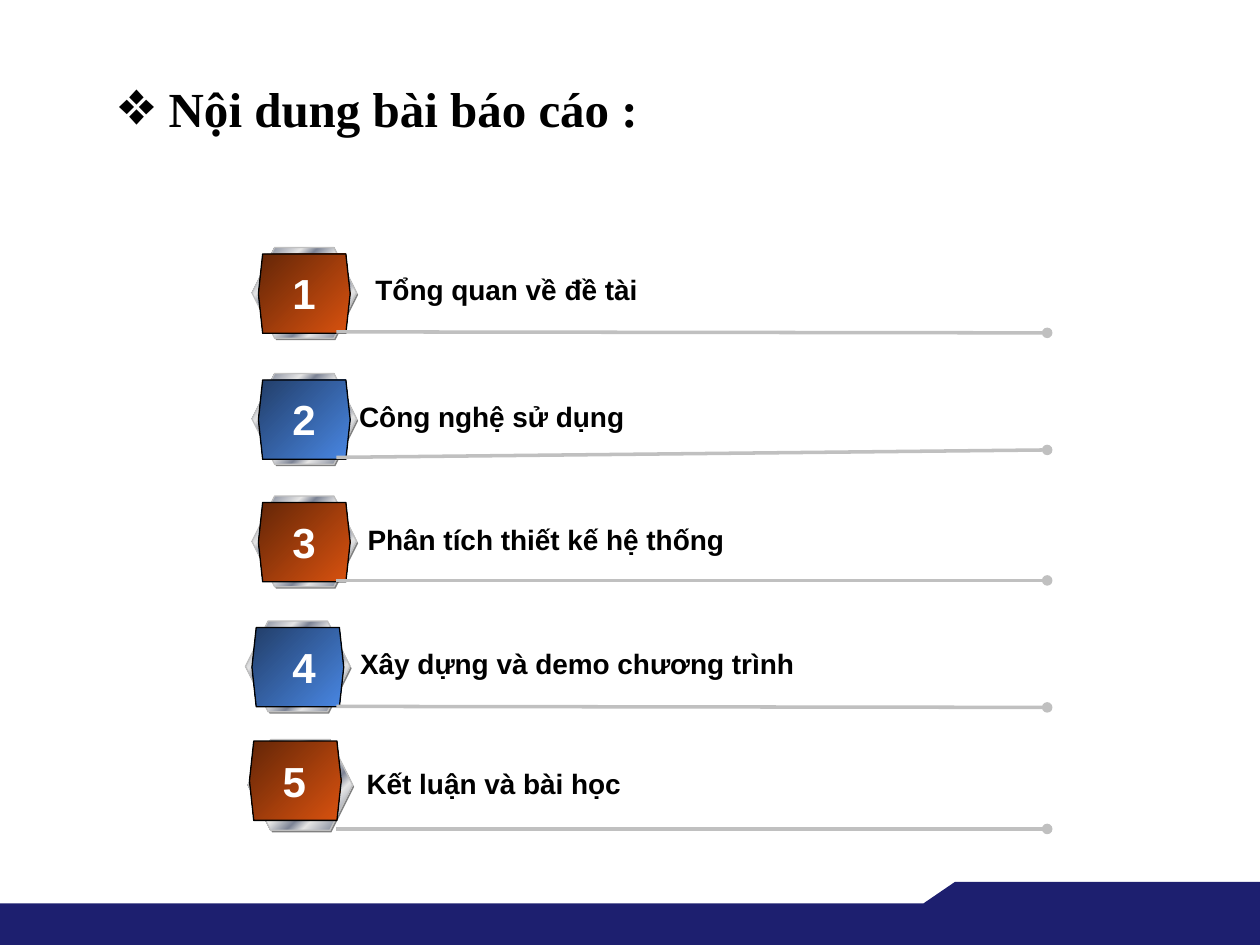
import pptx
import pptx.dml.color
import pptx.enum.shapes
import pptx.enum.text
import pptx.oxml
import pptx.oxml.ns
import pptx.util

Cm = pptx.util.Cm
COLORS = {
    "text": "000000", "number": "FFFFFF", "footer": "1D1F6F", "rule": "C0C0C0",
    "backing": "808080", "steel": "7D8496", "silver": "E6E6E6", "shine": "FFFFFF",
    "rust_dark": "642607", "rust": "D9520F", "blue_dark": "223E69", "blue": "4987E3",
}
METAL = [(0, "silver"), (7, "steel"), (26, "silver"), (34, "steel"), (46, "silver"),
         (50, "shine"), (54, "silver"), (66, "steel"), (74, "silver"), (92, "steel"),
         (100, "silver")]
FACES = [[(0, "rust_dark"), (100, "rust")], [(0, "blue_dark"), (100, "blue")]]
RULE_LEFT, RULE_RIGHT = 6.78, 21.11


class AgendaSlide:
    """Holds the style and the current slide, and draws each kind of element."""

    def __init__(self, presentation):
        self.slide = presentation.slides.add_slide(presentation.slide_layouts[5])
        self.shapes = self.slide.shapes

    def color(self, name):
        return pptx.dml.color.RGBColor.from_string(COLORS[name])

    def xml(self, tag, attributes="", content=""):
        namespace = pptx.oxml.ns.nsdecls("a")
        return pptx.oxml.parse_xml(f"<a:{tag} {namespace} {attributes}>{content}</a:{tag}>")

    def set_text(self, frame, text, size, color="text", font="Arial", centered=False):
        alignment = pptx.enum.text.PP_ALIGN
        frame.word_wrap = True
        paragraph = frame.paragraphs[0]
        paragraph.text = text
        paragraph.alignment = alignment.CENTER if centered else alignment.LEFT
        paragraph.font.name = font
        paragraph.font.size = pptx.util.Pt(size)
        paragraph.font.bold = True
        paragraph.font.color.rgb = self.color(color)

    def title(self, text):
        title = self.shapes.title
        title.left, title.top, title.width, title.height = Cm(2.11), Cm(1.4), Cm(21.8), Cm(1.57)
        frame = title.text_frame
        frame.auto_size = pptx.enum.text.MSO_AUTO_SIZE.NONE
        frame.vertical_anchor = pptx.enum.text.MSO_ANCHOR.MIDDLE
        properties = frame.paragraphs[0]._p.get_or_add_pPr()
        properties.set("marL", str(Cm(0.79)))
        properties.set("indent", str(-Cm(0.79)))
        properties.append(self.xml("buClr", content=f'<a:srgbClr val="{COLORS["text"]}"/>'))
        properties.append(self.xml("buFont", 'typeface="Times New Roman"'))
        properties.append(self.xml("buChar", 'char="❖"'))
        self.set_text(frame, text, 28, font="Times New Roman")

    def paint(self, shape, fill):
        shape.shadow.inherit = False
        shape.fill.solid()
        shape.fill.fore_color.rgb = self.color(fill)
        shape.line.fill.background()

    def footer(self):
        band = self.shapes.add_shape(pptx.enum.shapes.MSO_SHAPE.RECTANGLE,
                                     0, Cm(18.21), Cm(25.4), Cm(0.84))
        builder = self.shapes.build_freeform(Cm(18.62), Cm(18.21))
        corners = [(19.25, 17.78), (25.4, 17.78), (25.4, 18.42), (18.62, 18.42)]
        builder.add_line_segments([(Cm(x), Cm(y)) for x, y in corners], close=True)
        for shape in (band, builder.convert_to_shape()):
            self.paint(shape, "footer")

    def hexagon(self, group, left, top, width, height, adjustment, stops=None, line=None):
        shape = group.shapes.add_shape(pptx.enum.shapes.MSO_SHAPE.HEXAGON,
                                       Cm(left), Cm(top), Cm(width), Cm(height))
        shape.adjustments[0] = adjustment
        self.paint(shape, "backing")
        if stops:
            shape.fill.gradient()
            shape.fill.gradient_angle = 315
            stop_list = shape._element.spPr.find(".//" + pptx.oxml.ns.qn("a:gsLst"))
            for stop in list(stop_list):
                stop_list.remove(stop)
            for position, name in stops:
                stop_list.append(self.xml("gs", f'pos="{position * 1000}"',
                                          f'<a:srgbClr val="{COLORS[name]}"/>'))
            shape.line.color.rgb = self.color(line)
            shape.line.width = pptx.util.Pt(0.75)
        return shape

    def badge(self, left, top, offset, face):
        group = self.shapes.add_group_shape()
        self.hexagon(group, left + 0.03, top + 0.04, 2.11, 1.83, 0.25)
        self.hexagon(group, left, top, 2.11, 1.83, 0.25, METAL, "rule")
        return self.hexagon(group, left + offset, top + offset, 1.85, 1.6, 0.054, face, "text")

    def text_box(self, text, left, top, width, height, size, **style):
        box = self.shapes.add_textbox(Cm(left), Cm(top), Cm(width), Cm(height))
        box.text_frame.auto_size = pptx.enum.text.MSO_AUTO_SIZE.SHAPE_TO_FIT_TEXT
        self.set_text(box.text_frame, text, size, **style)

    def rule(self, start, end):
        connector = self.shapes.add_connector(pptx.enum.shapes.MSO_CONNECTOR.STRAIGHT,
                                              Cm(RULE_LEFT), Cm(start), Cm(RULE_RIGHT), Cm(end))
        connector.line.color.rgb = self.color("rule")
        connector.line.width = pptx.util.Pt(2)
        properties = connector._element.spPr
        properties.find(pptx.oxml.ns.qn("a:ln")).append(self.xml("tailEnd", 'type="oval"'))
        properties.append(self.xml("effectLst"))


def main():
    presentation = pptx.Presentation()
    presentation.slide_width, presentation.slide_height = Cm(25.4), Cm(19.05)
    agenda = AgendaSlide(presentation)
    agenda.footer()
    agenda.title(" Nội dung bài báo cáo :")
    items = [
        ("Tổng quan về đề tài", (5.08, 4.99), (6.69, 6.71), (7.32, 5.36, 5.87)),
        ("Công nghệ sử dụng", (5.08, 7.53), (9.22, 9.07), (6.99, 7.92, 11.46)),
        ("Phân tích thiết kế hệ thống", (5.08, 10), (11.7, 11.7), (7.16, 10.41, 7.95)),
        ("Xây dựng và demo chương trình", (4.95, 12.52), (14.24, 14.26), (7.01, 12.9, 9.55)),
        ("Kết luận và bài học", (5, 14.91), (16.71, 16.71), (7.14, 15.32, 5.72)),
    ]
    for number, (label, (left, top), ends, label_place) in enumerate(items, 1):
        is_last = number == len(items)
        face = agenda.badge(left, top, 0.03 if is_last else 0.13, FACES[(number - 1) % 2])
        agenda.rule(*ends)
        agenda.text_box(label, *label_place, 0.94, 16)
        if is_last:
            face.text_frame.vertical_anchor = pptx.enum.text.MSO_ANCHOR.MIDDLE
            agenda.set_text(face.text_frame, f" {number}", 24, "number")
        else:
            agenda.text_box(str(number), 5.63, top + 0.28, 1, 1.27, 24,
                            color="number", centered=True)
    presentation.save("out.pptx")


if __name__ == "__main__":
    main()
